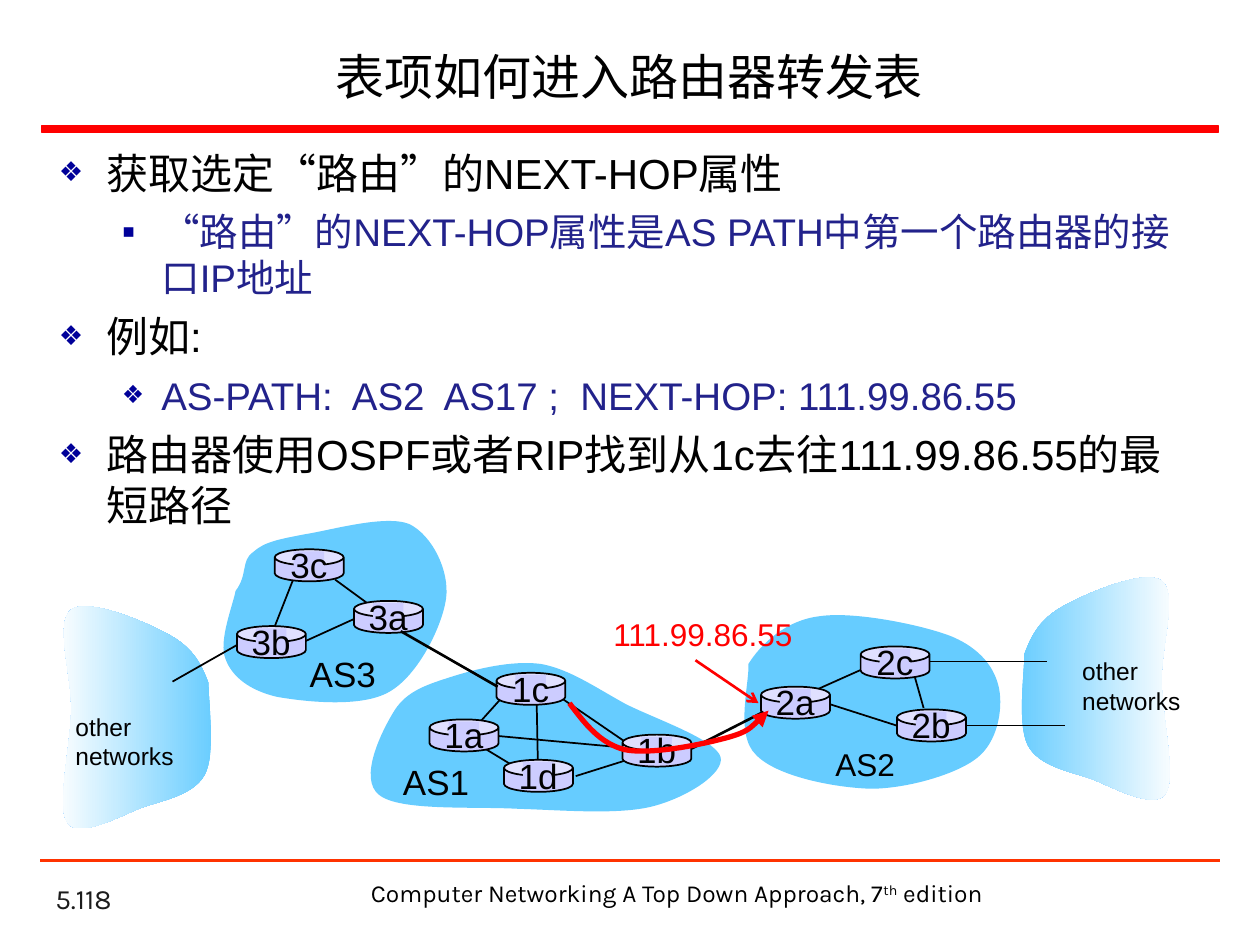
from lxml.etree import SubElement
from pptx import Presentation
from pptx.dml.color import RGBColor
from pptx.enum.shapes import MSO_CONNECTOR, MSO_SHAPE
from pptx.enum.text import MSO_ANCHOR, PP_ALIGN
from pptx.oxml.ns import qn
from pptx.util import Pt

THEME = {
    "color": {"ink": "000000", "number": "1C1C1C", "detail": "22228B", "bullet": "000099",
              "red": "FF0000", "footer rule": "FF3300", "cloud": "66CCFF",
              "fade": "FFFFFF", "router": "CCCCFF"},
    "text": {
        "title": ("ink", {"name": "Karla", "size": Pt(28)}),
        "number": ("number", {"name": "Karla", "size": Pt(16)}),
        "footer": ("ink", {"name": "Karla", "size": Pt(14)}),
        "point": ("ink", {"name": "Arial", "size": Pt(24)}),
        "detail": ("detail", {"name": "Arial", "size": Pt(22)}),
        "label": ("ink", {"name": "Arial", "size": Pt(20)}),
        "small label": ("ink", {"name": "Arial", "size": Pt(18)}),
        "address": ("red", {"name": "Arial", "size": Pt(18)}),
        "network": ("ink", {"name": "Arial", "size": Pt(14)}),
    },
}

TITLE = "表项如何进入路由器转发表"
FOOTER = [("Computer Networking A Top Down Approach, 7", 0), ("th", 30000), (" edition", 0)]
# level, bullet, bullet size in percent, text
POINTS = [
    (0, "❖", 65, "获取选定“路由”的NEXT-HOP属性"),
    (1, "▪", 100, "“路由”的NEXT-HOP属性是AS PATH中第一个路由器的接口IP地址"),
    (0, "❖", 65, "例如:"),
    (1, "❖", 65, "AS-PATH:  AS2  AS17 ;  NEXT-HOP: 111.99.86.55"),
    (0, "❖", 65, "路由器使用OSPF或者RIP找到从1c去往111.99.86.55的最短路径"),
]
LEVELS = [("point", 27, -27), ("detail", 58.5, -22.5)]  # style, left margin, indent

# Bezier outlines: a start, then two handles and an end for each curve
RIGHT_NETWORK = [
    (585.4, 373.7), (589.7, 362.2), (594.7, 353.5), (607.7, 346.3), (620.6, 339.1),
    (654.5, 324.7), (663.8, 331.9), (673.2, 339.1), (663.8, 367.9), (663.8, 388.1),
    (663.8, 409), (672.5, 444.2), (666, 453.6), (659.5, 463), (636.5, 450), (623.5, 445),
    (610.6, 440.6), (594, 437.8), (587.5, 426.2), (581, 414), (585.4, 385.2), (585.4, 373.7)]
LEFT_NETWORK = [(704.5 - x, y + 16.5) for x, y in RIGHT_NETWORK]
AS_CLOUDS = [
    [(427.7, 379.4), (434.9, 367.9), (449.3, 354.2), (468.7, 352.1), (488.2, 349.2),
     (527, 357.1), (543.6, 363.6), (560.9, 370.8), (568.8, 382.3), (571, 393.8),
     (573.1, 405.4), (570.2, 424.1), (558, 433.4), (545.8, 442.8), (517.7, 450.7),
     (497.5, 450.7), (475.9, 450), (443.5, 443.5), (432, 431.3), (419.8, 419.8),
     (428.4, 390.2), (427.7, 379.4)],
    [(134.6, 337.7), (141.8, 328.3), (137.5, 320.4), (144.7, 315.4), (151.2, 309.6),
     (159.1, 308.2), (174.2, 305.3), (188.6, 303.1), (220.3, 293.8), (234, 299.5),
     (247, 306), (257, 326.2), (254.9, 342), (252.7, 357.8), (239, 385.9), (222.5, 395.3),
     (206.6, 404.6), (174.2, 401), (158.4, 398.2), (142.6, 394.6), (132.5, 386.6),
     (128.9, 376.6), (124.6, 366.5), (133.2, 345.6), (134.6, 337.7)],
    [(225.4, 406.1), (232.6, 394.6), (244.8, 391), (258.5, 386.6), (272.2, 382.3),
     (292.3, 377.3), (308.9, 379.4), (325.4, 382.3), (340.6, 393.1), (357.8, 402.5),
     (375.1, 411.1), (409, 422.6), (411.8, 432.7), (414, 442.1), (392.4, 455.8),
     (373, 460.8), (353.5, 465.8), (321.8, 463), (295.9, 462.2), (270, 460.8),
     (228.2, 463.7), (216.7, 454.3), (204.5, 445), (218.2, 417.6), (225.4, 406.1)],
]
ROUTE = [(325.4, 401.8), (334.1, 413.3), (342.7, 424.8), (357.1, 428.4), (372.2, 431.3),
         (400.3, 425.5), (414, 421.9), (427.7, 418.3), (433.4, 411.8), (439.2, 406.1)]

ROUTERS = {"3b": (135.4, 357.8), "3c": (157, 313.9), "3a": (202.3, 343.4),
           "1c": (283.7, 384.5), "1a": (245.5, 411.1), "1d": (288, 434.2),
           "1b": (355.7, 419.8), "2a": (434.9, 392.4), "2c": (491.8, 369.4),
           "2b": (512.6, 405.4)}
# x1, y1, x2, y2, width
INNER_LINKS = [
    (174.2, 366.5, 205.9, 352.1, 1), (460.8, 396.7, 494.6, 381.6, 1),
    (210.2, 344.9, 191.5, 331.2, 1), (167.8, 330.5, 156.2, 360, 1),
    (286.6, 398.9, 275, 411.8, 1), (306.7, 401.8, 307.4, 437.8, 1),
    (319.7, 398.2, 358.6, 424.8, 1), (358.6, 434.2, 329, 443.5, 1),
    (354.2, 427, 283.7, 420.5, 1), (275.8, 427, 292.3, 437, 1),
    (530.6, 378, 598.3, 378, 0.75), (550.8, 414.7, 608.4, 414.7, 0.75),
    (474.5, 402.5, 512.6, 414.7, 1), (522.7, 386.6, 527.8, 404.6, 1)]
OUTER_LINKS = [(135.4, 368.6, 98.6, 389.5, 1), (395.3, 427.7, 436.3, 406.8, 1.5),
               (229, 360.7, 284.4, 392.4, 1.5)]
LABELS = [
    (["AS3"], "label", (169.9, 369.4, 52.6, 31.5)),
    (["AS2"], "small label", (470.2, 421.9, 49, 29)),
    (["AS1"], "label", (223.2, 431.3, 52.6, 31.5)),
    (["other", "networks"], "network", (611.3, 371.5, 71.3, 41)),
    (["other", "networks"], "network", (36, 403.2, 71.3, 41)),
    (["111.99.86.55"], "address", (343.4, 347.8, 123.8, 29)),
]

prs = Presentation()
prs.slide_width, prs.slide_height = Pt(720), Pt(540)
slide = prs.slides.add_slide(prs.slide_layouts[6])
shapes = slide.shapes


def rgb(role):
    return RGBColor.from_string(THEME["color"][role])


def write(paragraph, text, style, baseline=0):
    run = paragraph.add_run()
    run.text = text
    role, formats = THEME["text"][style]
    for attribute, value in formats.items():
        setattr(run.font, attribute, value)
    run.font.color.rgb = rgb(role)
    if baseline:
        run.font._element.set("baseline", str(baseline))


def text_frame(box, wrap=True, anchor=MSO_ANCHOR.TOP):
    frame = shapes.add_textbox(*map(Pt, box)).text_frame
    frame.word_wrap, frame.vertical_anchor = wrap, anchor
    return frame


def label(lines, style, box, align=PP_ALIGN.LEFT, **frame_options):
    frame = text_frame(box, **frame_options)
    for i, line in enumerate(lines):
        paragraph = frame.add_paragraph() if i else frame.paragraphs[0]
        paragraph.alignment = align
        write(paragraph, line, style)


def arrowhead(item, kind):
    SubElement(item.line._get_or_add_ln(), qn("a:tailEnd"), type=kind)


def connect(x1, y1, x2, y2, width, role="ink"):
    line = shapes.add_connector(MSO_CONNECTOR.STRAIGHT, *map(Pt, (x1, y1, x2, y2)))
    line.line.color.rgb, line.line.width = rgb(role), Pt(width)
    SubElement(line._element.spPr, qn("a:effectLst"))
    return line


def block(kind, box, fill, outline=None):
    shape = shapes.add_shape(kind, *map(Pt, box))
    shape.shadow.inherit = False
    shape.fill.solid()
    shape.fill.fore_color.rgb = rgb(fill)
    if outline:
        shape.line.color.rgb, shape.line.width = rgb(outline), Pt(1)
    else:
        shape.line.fill.background()
    return shape


def curve(points, close):
    """Draw a chain of cubic Bezier curves, merging each three segments into one curve."""
    builder = shapes.build_freeform(*map(Pt, points[0]), scale=1)
    builder.add_line_segments([tuple(map(Pt, p)) for p in points[1:]], close=close)
    shape = builder.convert_to_shape()
    shape.shadow.inherit = False
    segments = list(shape._element.iter(qn("a:lnTo")))
    for i in range(0, len(segments), 3):
        bezier = segments[i]
        bezier.tag = qn("a:cubicBezTo")
        for segment in segments[i + 1:i + 3]:
            bezier.append(segment[0])
            segment.getparent().remove(segment)
    return shape


def cloud(points, fade_angle=None):
    shape = curve(points, close=True)
    shape.line.fill.background()
    if fade_angle is None:
        shape.fill.solid()
        shape.fill.fore_color.rgb = rgb("cloud")
    else:
        shape.fill.gradient()
        shape.fill.gradient_angle = fade_angle
        for stop, role in zip(shape.fill.gradient_stops, ("cloud", "fade")):
            stop.color.rgb = rgb(role)


def router(name, x, y):
    body = block(MSO_SHAPE.CAN, (x, y, 39.4, 18.3), "router", "ink")
    body.adjustments[0] = 0.5
    plate = block(MSO_SHAPE.RECTANGLE, (x + 10.8, y + 1.2, 17.5, 15), "router").text_frame
    plate.word_wrap, plate.vertical_anchor = False, MSO_ANCHOR.MIDDLE
    for side in ("left", "right", "top", "bottom"):
        setattr(plate, f"margin_{side}", Pt(0))
    plate.paragraphs[0].alignment = PP_ALIGN.CENTER
    write(plate.paragraphs[0], name, "label")


def bullet(paragraph, mark, percent, margin, indent):
    properties = paragraph._p.get_or_add_pPr()
    properties.set("marL", str(Pt(margin)))
    properties.set("indent", str(Pt(indent)))
    color = SubElement(properties, qn("a:buClr"))
    SubElement(color, qn("a:srgbClr"), val=THEME["color"]["bullet"])
    SubElement(properties, qn("a:buSzPct"), val=str(percent * 1000))
    SubElement(properties, qn("a:buFont"), typeface="Arial")
    SubElement(properties, qn("a:buChar"), char=mark)


# Page frame
label(["5.118"], "number", (24.5, 502.6, 149.8, 23.8), anchor=MSO_ANCHOR.BOTTOM)
block(MSO_SHAPE.RECTANGLE, (23.8, 72, 672.5, 3.6), "red", "red")
connect(23, 491.8, 697, 491.8, 1.5, "footer rule")
footer = text_frame((203.8, 498.2, 365.8, 24.5)).paragraphs[0]
footer.alignment = PP_ALIGN.CENTER
for text, baseline in FOOTER:
    write(footer, text, "footer", baseline)
label([TITLE], "title", (26.6, 18, 666, 50.4), PP_ALIGN.CENTER, anchor=MSO_ANCHOR.MIDDLE)

# Bullet points
body = text_frame((26.6, 80.6, 666, 221))
for i, (level, mark, percent, text) in enumerate(POINTS):
    point = body.add_paragraph() if i else body.paragraphs[0]
    style, margin, indent = LEVELS[level]
    point.level = level
    bullet(point, mark, percent, margin, indent)
    point.space_before = Pt(6 if i else 0)
    write(point, text, style)

# Network diagram
cloud(RIGHT_NETWORK, 0)
cloud(LEFT_NETWORK, 180)
for outline in AS_CLOUDS:
    cloud(outline)
for link in INNER_LINKS:
    connect(*link)
for name, corner in ROUTERS.items():
    router(name, *corner)
for link in OUTER_LINKS:
    connect(*link)
for lines, style, box in LABELS:
    label(lines, style, box, wrap=False)
arrowhead(connect(397.4, 377.3, 433.4, 401.8, 1.5, "red"), "arrow")
route = curve(ROUTE, close=False)
route.fill.background()
route.line.color.rgb, route.line.width = rgb("red"), Pt(3)
arrowhead(route, "triangle")

prs.save("out.pptx")
